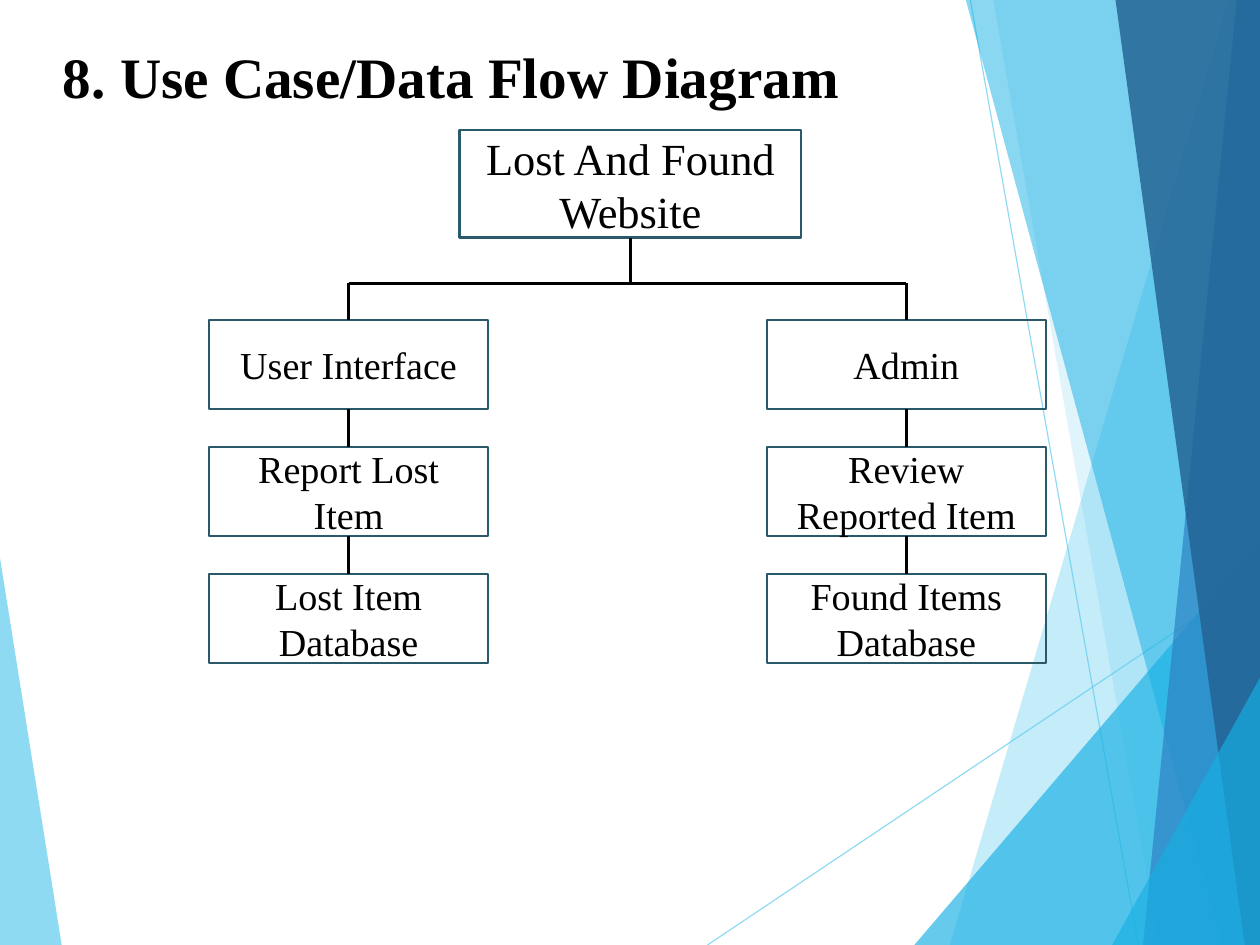
from dataclasses import dataclass

from lxml import etree
from pptx import Presentation
from pptx.dml.color import RGBColor
from pptx.enum.shapes import MSO_CONNECTOR, MSO_SHAPE
from pptx.enum.text import MSO_ANCHOR, MSO_AUTO_SIZE, PP_ALIGN
from pptx.oxml.ns import qn
from pptx.util import Cm, Inches, Pt

STRAIGHT = MSO_CONNECTOR.STRAIGHT
RECTANGLE = MSO_SHAPE.RECTANGLE
MIDDLE = MSO_ANCHOR.MIDDLE
CENTER, LEFT = PP_ALIGN.CENTER, PP_ALIGN.LEFT
NO_AUTOFIT = MSO_AUTO_SIZE.NONE
TOP_SIDE, BOTTOM_SIDE = 0, 2


@dataclass(frozen=True)
class Theme:
    font: str = "Times New Roman"
    ink: str = "000000"
    outline: str = "2A5969"
    sky: str = "5FCBEF"
    cyan: str = "17B0E4"
    blue: str = "2E83C3"
    navy: str = "226292"
    title_size: float = 36
    root_size: float = 28
    step_size: float = 24
    line_width: float = 1.5
    ray_width: float = 0.75


THEME = Theme()
SLIDE_WIDTH, SLIDE_HEIGHT = Cm(28), Cm(21)
STEP_WIDTH, STEP_HEIGHT, STEP_PITCH = 2.44, 0.78, 1.11


def set_opacity(properties, percent):
    color = next(properties.iter(qn("a:srgbClr")))
    etree.SubElement(color, qn("a:alpha")).set("val", str(percent * 1000))


def style_text(frame, size, align, bold=False):
    frame.word_wrap = True
    frame.auto_size = NO_AUTOFIT
    frame.vertical_anchor = MIDDLE
    for paragraph in frame.paragraphs:
        paragraph.alignment = align
        for run in paragraph.runs:
            run.font.name = THEME.font
            run.font.size = Pt(size)
            run.font.bold = bold
            run.font.color.rgb = RGBColor.from_string(THEME.ink)


def add_line(shapes, start, end, color=THEME.ink, width=THEME.line_width):
    line = shapes.add_connector(STRAIGHT, *(Inches(v) for v in (*start, *end)))
    line.line.color.rgb = RGBColor.from_string(color)
    line.line.width = Pt(width)
    etree.SubElement(line._element.spPr, qn("a:effectLst"))
    return line


def add_facet(shapes, points, color, opacity):
    corners = [(Inches(x), Inches(y)) for x, y in points]
    builder = shapes.build_freeform(*corners[0], scale=1.0)
    builder.add_line_segments(corners[1:], close=True)
    facet = builder.convert_to_shape()
    facet.shadow.inherit = False
    facet.fill.solid()
    facet.fill.fore_color.rgb = RGBColor.from_string(color)
    set_opacity(facet._element.spPr, opacity)
    facet.line.fill.background()


def add_backdrop(shapes, left, top, width, height):
    right, bottom = left + width, top + height
    add_facet(shapes, [(left, top + 4.88), (left + 0.54, bottom), (left, bottom)], THEME.sky, 70)
    rays = [((left + 6.19, bottom), (right, top + 5.03)),
            ((left + 8.49, top), (left + 9.96, bottom))]
    for start, end in rays:
        ray = add_line(shapes, start, end, THEME.sky, THEME.ray_width)
        set_opacity(ray._element.spPr, 70)
    facets = [
        (10.75, 0, 8.31, THEME.sky, 36),
        (8.69, 0, 10.14, THEME.sky, 20),
        (width, 4.73, 8, THEME.cyan, 66),
        (8.45, 0, 10.69, THEME.cyan, 50),
        (10.82, 0, 10, THEME.blue, 70),
        (9.76, 0, 10.89, THEME.navy, 82),
        (width, 5.93, 9.73, THEME.cyan, 66),
    ]
    for upper_x, upper_y, lower_x, color, opacity in facets:
        edge = [(left + upper_x, top + upper_y), (left + lower_x, bottom), (right, bottom)]
        if upper_x < width:
            edge.append((right, top + upper_y))
        add_facet(shapes, edge, color, opacity)


def place_title(shapes, left, top, width, height):
    title = shapes.title
    title.left, title.top, title.width, title.height = map(Inches, (left, top, width, height))
    frame = title.text_frame
    frame.text = "8. Use Case/Data Flow Diagram"
    frame.margin_left = frame.margin_right = frame.margin_bottom = 0
    frame.margin_top = Inches(0.03)
    frame.paragraphs[0].line_spacing = 0.93
    style_text(frame, THEME.title_size, LEFT, bold=True)
    shapes._spTree.append(title._element)


def add_node(shapes, label, size, left, top, width, height):
    node = shapes.add_shape(RECTANGLE, *map(Inches, (left, top, width, height)))
    node.shadow.inherit = False
    node.fill.background()
    node.line.color.rgb = RGBColor.from_string(THEME.outline)
    node.line.width = Pt(THEME.line_width)
    node.text_frame.text = label
    style_text(node.text_frame, size, CENTER)
    return node


def add_branch(shapes, labels, left, top, width, height):
    center = left + width / 2
    steps = [add_node(shapes, label, THEME.step_size, left, top + i * STEP_PITCH, width, height)
             for i, label in enumerate(labels)]
    for i, (upper, lower) in enumerate(zip(steps, steps[1:])):
        step_top = top + i * STEP_PITCH
        link = add_line(shapes, (center, step_top + height), (center, step_top + STEP_PITCH))
        link.begin_connect(upper, BOTTOM_SIDE)
        link.end_connect(lower, TOP_SIDE)
    return steps[0]


def add_flow(shapes, left, top):
    root_left, root_width, root_height = left + 2.19, 2.99, 0.94
    root_center, root_bottom = root_left + root_width / 2, top + root_height
    bus_y, branch_top = top + 1.34, top + 1.66
    root = add_node(shapes, "Lost And Found Website", THEME.root_size,
                    root_left, top, root_width, root_height)
    trunk = add_line(shapes, (root_center, root_bottom), (root_center, bus_y))
    trunk.begin_connect(root, BOTTOM_SIDE)
    branches = [
        (left, ["User Interface", "Report Lost Item", "Lost Item Database"]),
        (left + 4.88, ["Admin", "Review Reported Item", "Found Items Database"]),
    ]
    for branch_left, labels in branches:
        center = branch_left + STEP_WIDTH / 2
        head = add_branch(shapes, labels, branch_left, branch_top, STEP_WIDTH, STEP_HEIGHT)
        add_line(shapes, (root_center, bus_y), (center, bus_y))
        drop = add_line(shapes, (center, bus_y), (center, branch_top))
        drop.end_connect(head, TOP_SIDE)


def main():
    deck = Presentation()
    deck.slide_width, deck.slide_height = SLIDE_WIDTH, SLIDE_HEIGHT
    shapes = deck.slides.add_slide(deck.slide_layouts[5]).shapes
    add_backdrop(shapes, 0, 0, SLIDE_WIDTH.inches, SLIDE_HEIGHT.inches)
    place_title(shapes, 0.55, 0, 9.92, 1.36)
    add_flow(shapes, 1.83, 1.14)
    deck.save("out.pptx")


if __name__ == "__main__":
    main()
